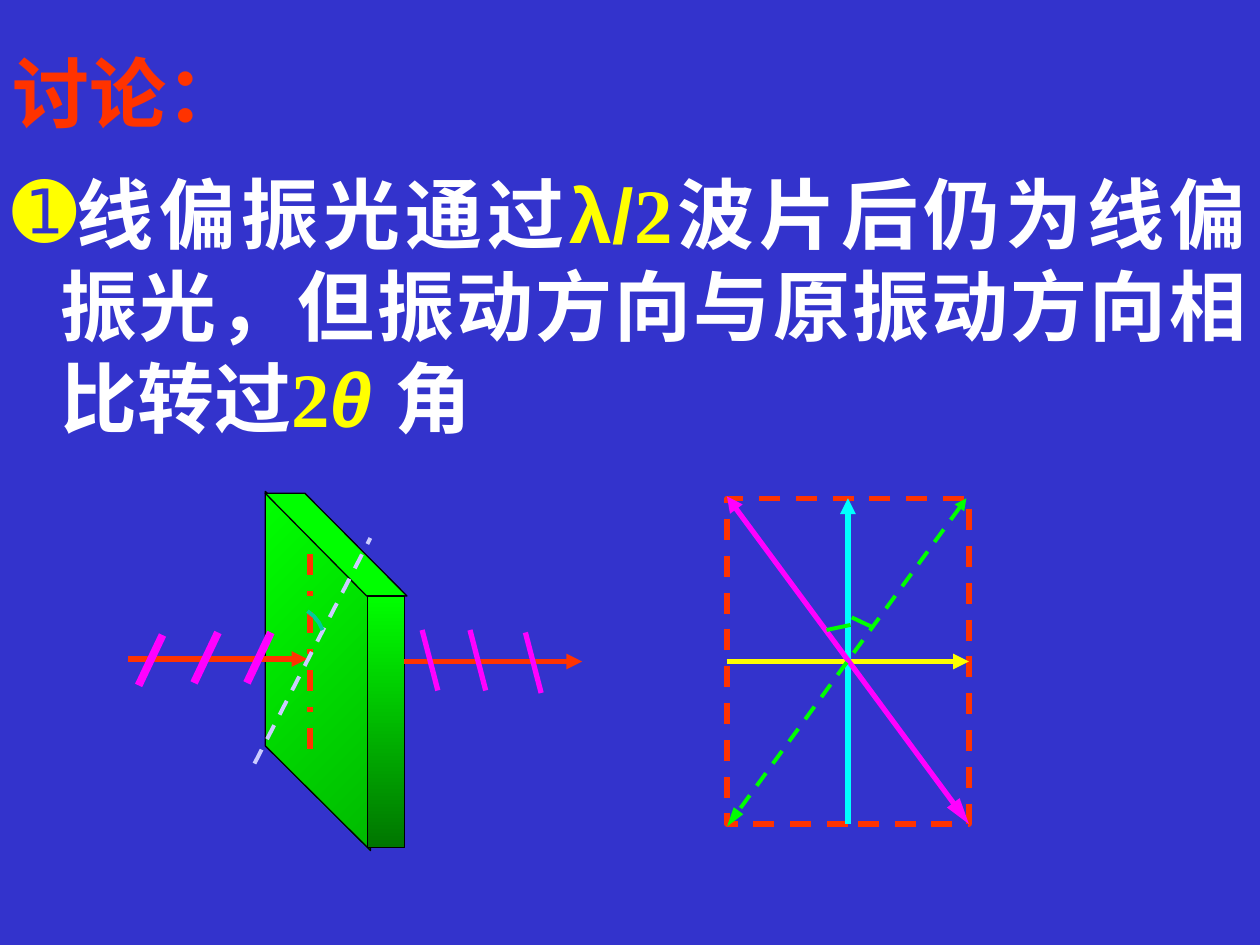
"""Build a slide on how a half-wave plate turns linearly polarised light."""
from typing import NamedTuple, Optional

from lxml.etree import SubElement
from pptx import Presentation
from pptx.dml.color import RGBColor
from pptx.enum.dml import MSO_LINE
from pptx.enum.shapes import MSO_CONNECTOR, MSO_SHAPE
from pptx.enum.text import MSO_ANCHOR, MSO_AUTO_SIZE, PP_ALIGN
from pptx.oxml.ns import qn
from pptx.util import Inches, Pt

WIDTH, HEIGHT = Inches(10), Inches(7.5)
COLUMN, ROW = WIDTH / 100, HEIGHT / 75

BLUE = RGBColor(0x33, 0x33, 0xCC)
RED = RGBColor(0xFF, 0x33, 0x00)
YELLOW = RGBColor(0xFF, 0xFF, 0x00)
WHITE = RGBColor(0xFF, 0xFF, 0xFF)
BLACK = RGBColor(0x00, 0x00, 0x00)
MAGENTA = RGBColor(0xFF, 0x00, 0xFF)
CYAN = RGBColor(0x00, 0xFF, 0xFF)
TEAL = RGBColor(0x00, 0xCC, 0x99)
LAVENDER = RGBColor(0xCC, 0xCC, 0xFF)
GREEN = RGBColor(0x00, 0xFF, 0x00)
MID_GREEN = RGBColor(0x00, 0xBA, 0x00)
DARK_GREEN = RGBColor(0x00, 0x76, 0x00)

HAN, SANS, SERIF = "Noto Sans CJK SC", "Arial", "Times New Roman"
FRAME_FORMAT = {"word_wrap": True, "auto_size": MSO_AUTO_SIZE.NONE,
                "vertical_anchor": MSO_ANCHOR.TOP}
HEAD, TAIL, LONG_TAIL = ("head", "med"), ("tail", "med"), ("tail", "lg")


class Phrase(NamedTuple):
    text: str
    typeface: str = HAN
    color: RGBColor = WHITE
    italic: bool = False


class Stroke(NamedTuple):
    start: tuple
    end: tuple
    color: RGBColor
    weight: float = 3
    dash: Optional[MSO_LINE] = None
    arrows: tuple = ()


class Face(NamedTuple):
    corners: list
    colors: tuple
    angle: int = 0


STATEMENT = [
    Phrase("线偏振光通过"),
    Phrase("λ/", SANS, YELLOW),
    Phrase("2", SERIF, YELLOW),
    Phrase("波片后仍为线偏振光，但振动方向与原振动方向相比转过"),
    Phrase("2", SERIF, YELLOW),
    Phrase("θ ", SANS, YELLOW, True),
    Phrase("角"),
]
PLATE = [
    Face([(21.05, 59.2), (29.4, 67.5), (29.4, 47.3), (21.05, 39)], (GREEN, MID_GREEN), 315),
    Face([(24.2, 39.15), (32.3, 47.3), (29.1, 47.3), (21.05, 39.15)], (GREEN,)),
    Face([(29.15, 47.3), (32.1, 47.3), (32.1, 67.25), (29.15, 67.25)],
         (GREEN, DARK_GREEN), 270),
]
ANGLE_ARC = [(24.4, 48.5), (24.9, 48.9), (25.3, 49.4), (25.6, 50)]
TICKS_IN = [(12.9, 50.4), (17.3, 50.2), (21.5, 50.2)]
TICKS_OUT = [(33.5, 50), (37.3, 50), (41.7, 50.2)]
BEAMS = [
    Stroke((24.6, 44), (24.6, 60), RED, dash=MSO_LINE.DASH_DOT),
    Stroke((10.2, 52.3), (24.4, 52.3), RED, arrows=(TAIL,)),
    *(Stroke((x, y), (x - 1.9, y + 4), MAGENTA, 4.5) for x, y in TICKS_IN),
    Stroke((20.2, 60.6), (29.4, 42.7), LAVENDER, 2.25, MSO_LINE.DASH),
    Stroke((32.1, 52.5), (46.2, 52.5), RED, arrows=(TAIL,)),
    *(Stroke((x, y), (x + 1.25, y + 4.8), MAGENTA) for x, y in TICKS_OUT),
]
LEFT, CENTRE, RIGHT = 57.7, 67.3, 76.9
TOP, MIDDLE, BOTTOM = 39.55, 52.5, 65.4
VECTORS = [
    Stroke((LEFT, MIDDLE), (RIGHT, MIDDLE), YELLOW, arrows=(TAIL,)),
    Stroke((CENTRE, TOP), (CENTRE, BOTTOM), CYAN, arrows=(HEAD,)),
    Stroke((LEFT, 39.4), (RIGHT, BOTTOM), MAGENTA, arrows=(HEAD, LONG_TAIL)),
    Stroke((65.6, 50), (67.5, 49.6), GREEN, 2.25),
    Stroke((76.7, TOP), (LEFT, 65.6), GREEN, 2.25, MSO_LINE.DASH, (HEAD, LONG_TAIL)),
    Stroke((67.6, 49), (69.3, 49.8), GREEN, 2.25),
]


def place(column: float, row: float) -> tuple[int, int]:
    """Turn grid columns and rows into slide lengths."""
    return round(column * COLUMN), round(row * ROW)


def set_all(target, values: dict) -> None:
    """Set every named attribute on the target."""
    for name, value in values.items():
        setattr(target, name, value)


def write(paragraph, phrase: Phrase) -> None:
    """Add one phrase to a paragraph."""
    run = paragraph.add_run()
    run.text = phrase.text
    set_all(run.font, {"name": phrase.typeface, "size": Pt(44), "bold": True,
                       "italic": phrase.italic})
    run.font.color.rgb = phrase.color
    SubElement(run.font._element, qn("a:ea"), typeface=HAN)


def set_line(line, color: RGBColor, weight: float, dash=None) -> None:
    """Format an outline or a line."""
    line.color.rgb = color
    set_all(line, {"width": Pt(weight), "dash_style": dash})


def draw_stroke(shapes, stroke: Stroke) -> None:
    """Draw a straight line with its arrowheads."""
    connector = shapes.add_connector(MSO_CONNECTOR.STRAIGHT,
                                     *place(*stroke.start), *place(*stroke.end))
    set_line(connector.line, stroke.color, stroke.weight, stroke.dash)
    for end, length in stroke.arrows:
        SubElement(connector.line._get_or_add_ln(), qn(f"a:{end}End"),
                   type="triangle", w="med", len=length)
    SubElement(connector._element.spPr, qn("a:effectLst"))


def draw_outline(shapes, points: list, close: bool):
    """Draw a freeform through grid points."""
    builder = shapes.build_freeform(*place(*points[0]))
    builder.add_line_segments([place(*point) for point in points[1:]], close=close)
    outline = builder.convert_to_shape()
    outline.shadow.inherit = False
    return outline


def draw_face(shapes, face: Face) -> None:
    """Draw one face of the wave plate."""
    outline = draw_outline(shapes, face.corners, True)
    set_line(outline.line, BLACK, 0.75)
    if len(face.colors) == 1:
        outline.fill.solid()
        outline.fill.fore_color.rgb = face.colors[0]
        return
    outline.fill.gradient()
    outline.fill.gradient_angle = face.angle
    for stop, position, color in zip(outline.fill.gradient_stops, (0, 1), face.colors):
        stop.position = position
        stop.color.rgb = color


def add_heading(title) -> None:
    """Place and format the title."""
    left, top = place(0, 3.1)
    width, height = place(32.3, 8.3)
    set_all(title, {"left": left, "top": top, "width": width, "height": height})
    set_all(title.text_frame, FRAME_FORMAT)
    heading = title.text_frame.paragraphs[0]
    set_all(heading, {"alignment": PP_ALIGN.LEFT, "line_spacing": 1.0})
    write(heading, Phrase("讨论：", color=RED))


def add_statement(shapes) -> None:
    """Write the numbered statement."""
    frame = shapes.add_textbox(*place(0, 12.7), *place(100, 25.2)).text_frame
    set_all(frame, FRAME_FORMAT)
    statement = frame.paragraphs[0]
    set_all(statement, {"alignment": PP_ALIGN.JUSTIFY, "line_spacing": 1.0})
    properties = statement._p.get_or_add_pPr()
    for name, value in {"marL": Inches(0.38), "indent": -Inches(0.38)}.items():
        properties.set(name, str(value))
    bullet_color = SubElement(properties, qn("a:buClr"))
    SubElement(bullet_color, qn("a:srgbClr"), val=str(YELLOW))
    SubElement(properties, qn("a:buFont"), typeface=SANS)
    SubElement(properties, qn("a:buChar"), char="➊")
    for phrase in STATEMENT:
        write(statement, phrase)


def main() -> None:
    """Build and save the slide."""
    deck = Presentation()
    set_all(deck, {"slide_width": WIDTH, "slide_height": HEIGHT})
    slide = deck.slides.add_slide(deck.slide_layouts[5])
    slide.background.fill.solid()
    slide.background.fill.fore_color.rgb = BLUE
    shapes = slide.shapes
    add_heading(shapes.title)
    add_statement(shapes)
    for face in PLATE:
        draw_face(shapes, face)
    for beam in BEAMS:
        draw_stroke(shapes, beam)
    arc = draw_outline(shapes, ANGLE_ARC, False)
    arc.fill.background()
    set_line(arc.line, TEAL, 2.25)
    frame = shapes.add_shape(MSO_SHAPE.RECTANGLE, *place(LEFT, TOP),
                             *place(RIGHT - LEFT, BOTTOM - TOP))
    frame.shadow.inherit = False
    frame.fill.background()
    set_line(frame.line, RED, 3, MSO_LINE.DASH)
    for vector in VECTORS:
        draw_stroke(shapes, vector)
    deck.save("out.pptx")


if __name__ == "__main__":
    main()
